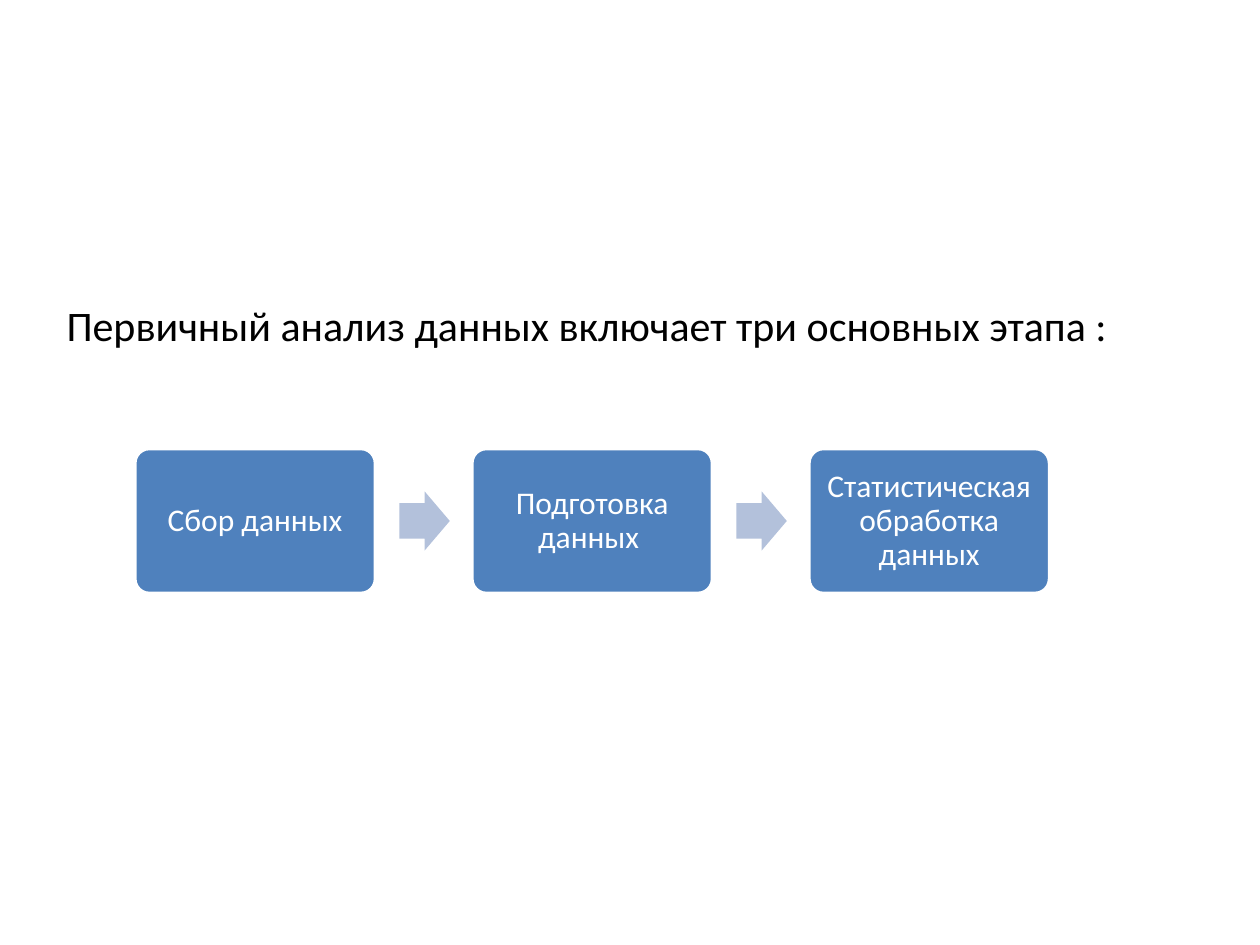
from dataclasses import dataclass

from pptx import Presentation
from pptx.dml.color import RGBColor
from pptx.enum.shapes import MSO_SHAPE
from pptx.enum.text import MSO_ANCHOR, PP_ALIGN
from pptx.util import Inches, Pt

ROUNDED = MSO_SHAPE.ROUNDED_RECTANGLE
ARROW = MSO_SHAPE.RIGHT_ARROW
MIDDLE = MSO_ANCHOR.MIDDLE
CENTER = PP_ALIGN.CENTER

FONT = "Calibri"
BLACK, WHITE, BLUE, PALE_BLUE = "000000", "FFFFFF", "4F81BD", "B3C1DB"

# Row of stages, in inches
ROW_LEFT, ROW_TOP, STAGE_STEP = 1.07, 3.56, 2.675
STAGE_WIDTH, STAGE_HEIGHT = 1.91, 1.15
ARROW_OFFSET, ARROW_WIDTH, ARROW_HEIGHT = 2.1, 0.4, 0.47


@dataclass
class Stage:
    label: str
    left: float


def color(hex_value: str) -> RGBColor:
    return RGBColor.from_string(hex_value)


def format_text(paragraph, size: int, hex_value: str) -> None:
    for span in paragraph.runs:
        span.font.name = FONT
        span.font.size = Pt(size)
        span.font.color.rgb = color(hex_value)


def add_heading(page, text: str) -> None:
    box = page.shapes.add_textbox(Inches(0.43), Inches(2.33), Inches(9), Inches(0.5))
    box.text_frame.word_wrap = True
    box.text_frame.text = text
    format_text(box.text_frame.paragraphs[0], 24, BLACK)


def add_filled_shape(page, kind, left: float, top: float, width: float,
                     height: float, fill: str):
    shape = page.shapes.add_shape(
        kind, Inches(left), Inches(top), Inches(width), Inches(height))
    shape.shadow.inherit = False
    shape.fill.solid()
    shape.fill.fore_color.rgb = color(fill)
    return shape


def add_stage(page, stage: Stage) -> None:
    card = add_filled_shape(page, ROUNDED, stage.left, ROW_TOP,
                            STAGE_WIDTH, STAGE_HEIGHT, BLUE)
    card.adjustments[0] = 0.1
    card.line.color.rgb = color(WHITE)
    card.line.width = Pt(2)
    frame = card.text_frame
    frame.word_wrap = True
    frame.vertical_anchor = MIDDLE
    frame.margin_left = frame.margin_right = Inches(0.04)
    frame.margin_top = frame.margin_bottom = Inches(0.04)
    frame.text = stage.label
    para = frame.paragraphs[0]
    para.alignment = CENTER
    para.line_spacing = 0.9
    format_text(para, 18, WHITE)


def add_arrow_after(page, stage: Stage) -> None:
    top = ROW_TOP + (STAGE_HEIGHT - ARROW_HEIGHT) / 2
    arrow = add_filled_shape(page, ARROW, stage.left + ARROW_OFFSET, top,
                             ARROW_WIDTH, ARROW_HEIGHT, PALE_BLUE)
    arrow.adjustments[0] = 0.6
    arrow.adjustments[1] = 0.5
    arrow.line.fill.background()


def main() -> None:
    deck = Presentation()
    deck.slide_width = Inches(10)
    deck.slide_height = Inches(7.5)
    page = deck.slides.add_slide(deck.slide_layouts[6])

    # Heading
    add_heading(page, "Первичный анализ данных включает три основных этапа :")

    # Stages joined by block arrows
    labels = ["Сбор данных", "Подготовка данных ", "Статистическая обработка данных"]
    stages = [Stage(label, ROW_LEFT + index * STAGE_STEP)
              for index, label in enumerate(labels)]
    for stage in stages:
        add_stage(page, stage)
    for stage in stages[:-1]:
        add_arrow_after(page, stage)

    deck.save("out.pptx")


if __name__ == "__main__":
    main()
